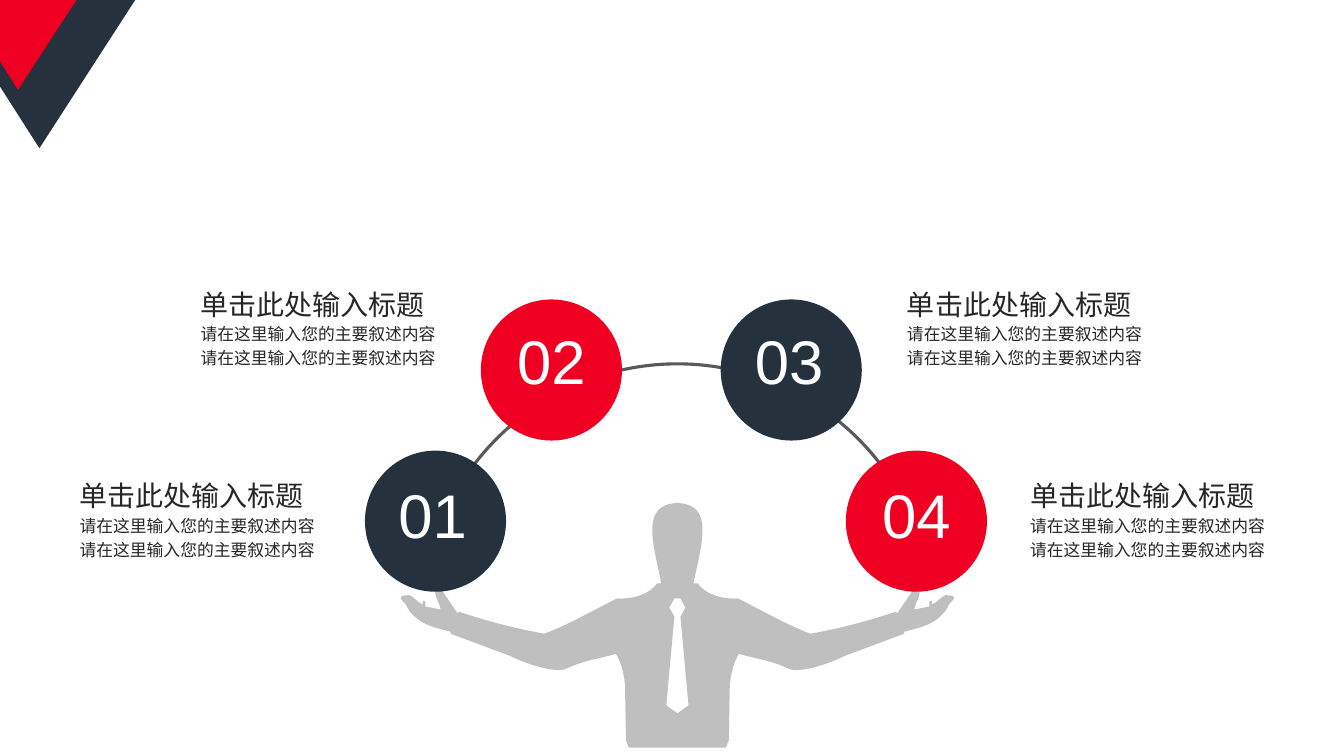
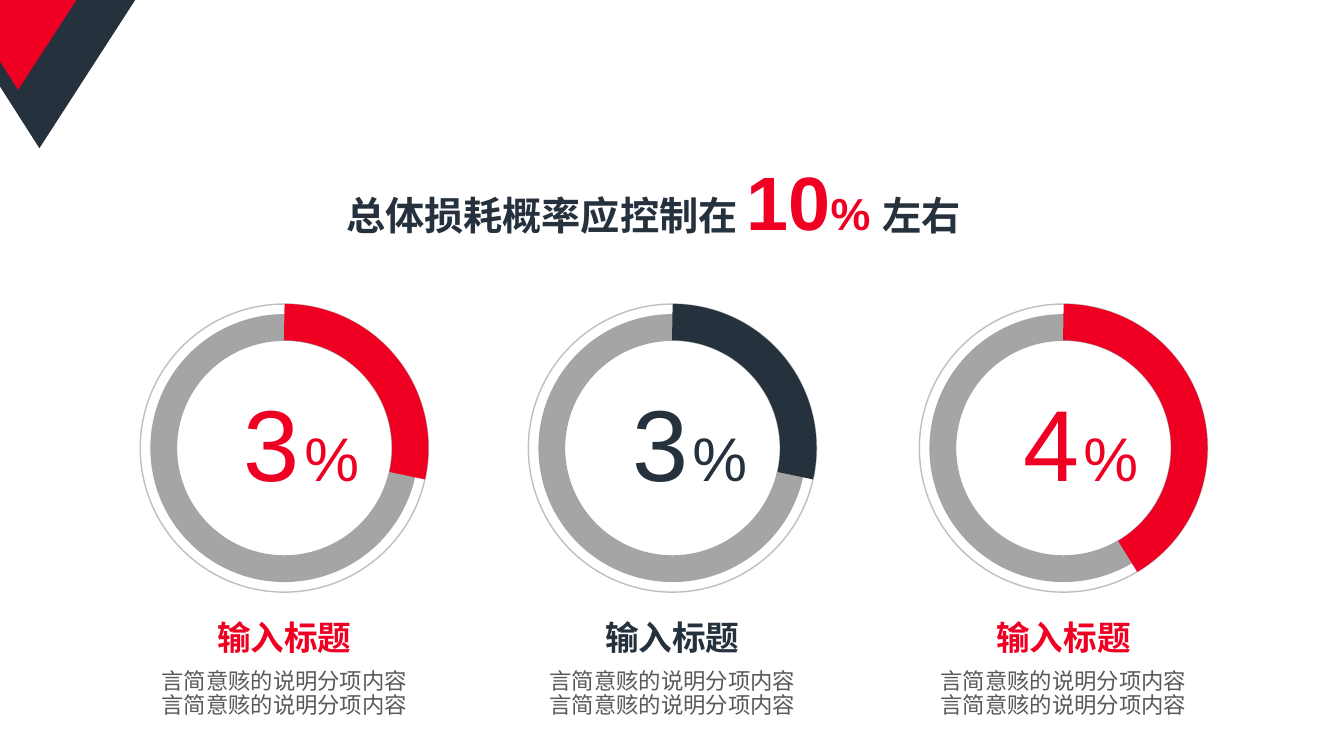
"""Build two infographic slides on a 32 by 18 grid of square cells."""
from dataclasses import dataclass

from lxml import etree
from pptx import Presentation
from pptx.dml.color import RGBColor
from pptx.enum.shapes import MSO_SHAPE as SHAPE
from pptx.enum.text import MSO_AUTO_SIZE as FIT, PP_ALIGN as ALIGN
from pptx.oxml.ns import qn
from pptx.util import Inches, Pt

COLS, ROWS = 32, 18
CELL = Inches(7.5) / ROWS
STEP = 0.024


@dataclass(frozen=True)
class Theme:
    """Colours, font and type sizes shared by the slides."""
    navy: str = "25313D"
    red: str = "EF0023"
    white: str = "FFFFFF"
    ink: str = "262626"
    muted: str = "595959"
    ring: str = "A5A5A5"
    pale: str = "BFBFBF"
    font: str = "Arial"
    display: int = 72
    hero: int = 54
    number: int = 44
    unit: int = 32
    title: int = 28
    heading: int = 24
    subhead: int = 20
    text: int = 16
    small: int = 12


T = Theme()

CORNERS = [
    (T.navy, [(0.94, 3.53), (3.22, 0), (0, 0), (0, 2.06)]),
    (T.red, [(0, 1.46), (0.43, 2.14), (1.82, 0), (0, 0)]),
]

BODY_HALF = [
    (0, 0), (6, 1), (36, 6, 23, 44, 16, 80), (20, 80), (28, 91, 44, 96, 60, 95),
    (84, 107, 108, 121, 132, 130), (161, 125, 194, 116, 217, 108), (218, 110),
    (235, 85), (247, 86, 235, 99, 235, 106), (250, 103), (250, 98), (252, 97),
    (253, 101), (259, 98, 265, 89, 270, 92), (281, 93, 268, 100, 268, 104),
    (257, 122, 239, 124, 225, 128), (225, 130), (166, 152),
    (148, 161, 121, 169, 111, 165), (92, 156, 78, 155, 61, 150),
    (56, 158, 53, 169, 52, 181), (51, 236), (49, 238, 50, 245, 45, 243), (0, 243),
]
TIE_HALF = [(0, 95), (3, 95), (8, 104), (3, 113), (11, 201), (0, 209)]

STEPS = [
    ("02", T.red, (11.45, 7.13), (12, 7.56), (4.54, 6.72)),
    ("01", T.navy, (8.69, 10.73), (9.17, 11.23), (1.66, 11.28)),
    ("03", T.navy, (17.16, 7.13), (17.66, 7.56), (21.36, 6.72)),
    ("04", T.red, (20.14, 10.73), (20.69, 11.23), (24.29, 11.28)),
]
GAUGES = [
    (6.77, "3", T.red, 12.64),
    (16.01, "3", T.navy, 12.64),
    (25.32, "4", T.red, 59.29),
]


def cells(*lengths):
    """Turn grid lengths into slide units."""
    return [round(n * CELL) for n in lengths]


def set_all(obj, **values):
    """Set attributes of an object from keyword values."""
    for name, value in values.items():
        setattr(obj, name, value)


def add_run(p, text, size, color, bold=False, spacing=None):
    """Add a formatted run to a paragraph."""
    r = p.add_run()
    r.text = text
    set_all(r.font, name=T.font, size=Pt(size), bold=bold)
    r.font.color.rgb = RGBColor.from_string(color)
    if spacing:
        r._r.get_or_add_rPr().set("spc", str(spacing * 100))


def set_frame(tf, across=0.0, down=0.0):
    """Give a text frame its insets and wrapping."""
    side, edge = Inches(across), Inches(down)
    set_all(tf, word_wrap=True, auto_size=FIT.NONE, margin_left=side,
            margin_right=side, margin_top=edge, margin_bottom=edge)


def add_text(slide, box, paragraphs, insets=(0, 0), **fmt):
    """Add a text box holding one list of runs per paragraph."""
    tf = slide.shapes.add_textbox(*cells(*box)).text_frame
    set_frame(tf, *insets)
    for i, runs in enumerate(paragraphs):
        p = tf.add_paragraph() if i else tf.paragraphs[0]
        set_all(p, **fmt)
        if i:
            p.space_before = Pt(2.4)
        for run in runs:
            add_run(p, *run)


def paint(sp, fill=None, line=None, width=1):
    """Set fill and outline and drop the shadow."""
    sp.shadow.inherit = False
    if fill:
        sp.fill.solid()
        sp.fill.fore_color.rgb = RGBColor.from_string(fill)
    else:
        sp.fill.background()
    if line:
        sp.line.color.rgb = RGBColor.from_string(line)
        sp.line.width = Pt(width)
    else:
        sp.line.fill.background()
    return sp


def add_round(slide, kind, cx, cy, size, adjust=(), **look):
    """Add a round preset shape about a centre."""
    box = cells(cx - size / 2, cy - size / 2, size, size)
    sp = slide.shapes.add_shape(kind, *box)
    for i, value in enumerate(adjust):
        sp.adjustments[i] = value
    return paint(sp, **look)


def add_arc(slide, cx, cy, size, start, end, color, width):
    """Add an arc between two angles given in degrees."""
    return add_round(slide, SHAPE.ARC, cx, cy, size, (start * 0.6, end * 0.6),
                     line=color, width=width)


def bend(sp, segments):
    """Turn the lines of a freeform into cubic curves where controls are given."""
    for line, seg in zip(list(sp.element.iter(qn("a:lnTo"))), segments):
        if len(seg) == 2:
            continue
        curve = etree.Element(qn("a:cubicBezTo"))
        values = cells(*seg)
        for x, y in zip(values[::2], values[1::2]):
            etree.SubElement(curve, qn("a:pt"), x=str(x - sp.left), y=str(y - sp.top))
        line.getparent().replace(line, curve)


def add_outline(slide, contours, fill):
    """Add a filled freeform made of closed contours of lines and curves."""
    builder = None
    for contour in contours:
        first, *rest = [cells(*seg[-2:]) for seg in contour]
        if builder:
            builder.move_to(*first)
        else:
            builder = slide.shapes.build_freeform(*first)
        builder.add_line_segments(rest, close=True)
    sp = paint(builder.convert_to_shape(), fill)
    bend(sp, [seg for contour in contours for seg in contour[1:]])


def reflect(half):
    """Return a half outline's segments reversed and flipped left to right."""
    flipped = []
    for before, seg in zip(half[-2::-1], half[:0:-1]):
        knots = (*seg[2:4], *seg[:2]) if len(seg) == 6 else ()
        values = (*knots, *before[-2:])
        flipped.append(tuple(-v if i % 2 == 0 else v for i, v in enumerate(values)))
    return flipped


def mirror(half, cx, top):
    """Close a half outline with its reflection about a vertical axis."""
    start = (cx, top)
    return [tuple(start[i % 2] + v * STEP for i, v in enumerate(seg))
            for seg in half + reflect(half)[:-1]]


def new_slide(prs, layout):
    """Add a slide with the corner triangles."""
    slide = prs.slides.add_slide(prs.slide_layouts.get_by_name(layout))
    for color, points in CORNERS:
        add_outline(slide, [points], color)
    return slide


def add_step(slide, label, color, corner, label_at, caption_at):
    """Add a numbered disc and its caption."""
    size = 3.36
    x, y = corner
    add_round(slide, SHAPE.OVAL, x + size / 2, y + size / 2, size, fill=color)
    add_text(slide, (*label_at, 2.26, 2.02), [[(label, T.number, T.white)]],
             (0, 0.05), alignment=ALIGN.CENTER)
    detail = [("请在这里输入您的主要叙述内容", T.small, T.ink)]
    add_text(slide, (*caption_at, 7.06, 2.21),
             [[("单击此处输入标题", T.subhead, T.ink)], detail, detail], (0.1, 0.05))


def add_gauge(slide, cx, value, color, end):
    """Add a ring gauge with its value, heading and description."""
    cy = 10.67
    add_round(slide, SHAPE.OVAL, cx, cy, 6.86, line=T.pale)
    add_round(slide, SHAPE.DONUT, cx, cy, 6.38, (0.1,), fill=T.ring)
    add_text(slide, (cx - 0.96, 9.07, 3.05, 2.9),
             [[(value, T.display, color, False, 3), ("%", T.number, color, False, 3)]])
    add_arc(slide, cx, cy, 6, 270, end, color, 26)
    add_text(slide, (cx - 2.45, 14.69, 4.9, 0.96),
             [[("输入标题", T.heading, color, True)]], alignment=ALIGN.CENTER)
    add_text(slide, (cx - 3.01, 15.94, 6.02, 1.15),
             [[("言简意赅的说明分项内容" * 2, T.text, T.muted)]],
             alignment=ALIGN.CENTER, line_spacing=Pt(17.3))


def set_title(slide, box, runs):
    """Place the title placeholder and fill it with runs."""
    sp = slide.shapes.title
    set_all(sp, **dict(zip(("left", "top", "width", "height"), cells(*box))))
    set_frame(sp.text_frame)
    p = sp.text_frame.paragraphs[0]
    p.alignment = ALIGN.LEFT
    for run in runs:
        add_run(p, *run, True)


def build_steps(prs):
    """Build the slide of four steps held up by a figure."""
    slide = new_slide(prs, "Blank")
    cx, top = 16.13, 11.97
    add_arc(slide, cx, 14.75, 12.17, 188.8, 350, T.muted, 2.25)
    add_outline(slide, [mirror(half, cx, top) for half in (TIE_HALF, BODY_HALF)], T.pale)
    for step in STEPS:
        add_step(slide, *step)


def build_gauges(prs):
    """Build the slide of three ring gauges."""
    slide = new_slide(prs, "Title Only")
    set_title(slide, (8.24, 3.69, 16.63, 2.18), [
        ("总体损耗概率应控制在 ", T.title, T.navy),
        ("10", T.hero, T.red),
        ("% ", T.unit, T.red),
        ("左右", T.title, T.navy),
    ])
    for gauge in GAUGES:
        add_gauge(slide, *gauge)


def main():
    """Build and save the presentation."""
    prs = Presentation()
    prs.slide_width, prs.slide_height = cells(COLS, ROWS)
    build_steps(prs)
    build_gauges(prs)
    prs.save("out.pptx")


if __name__ == "__main__":
    main()
